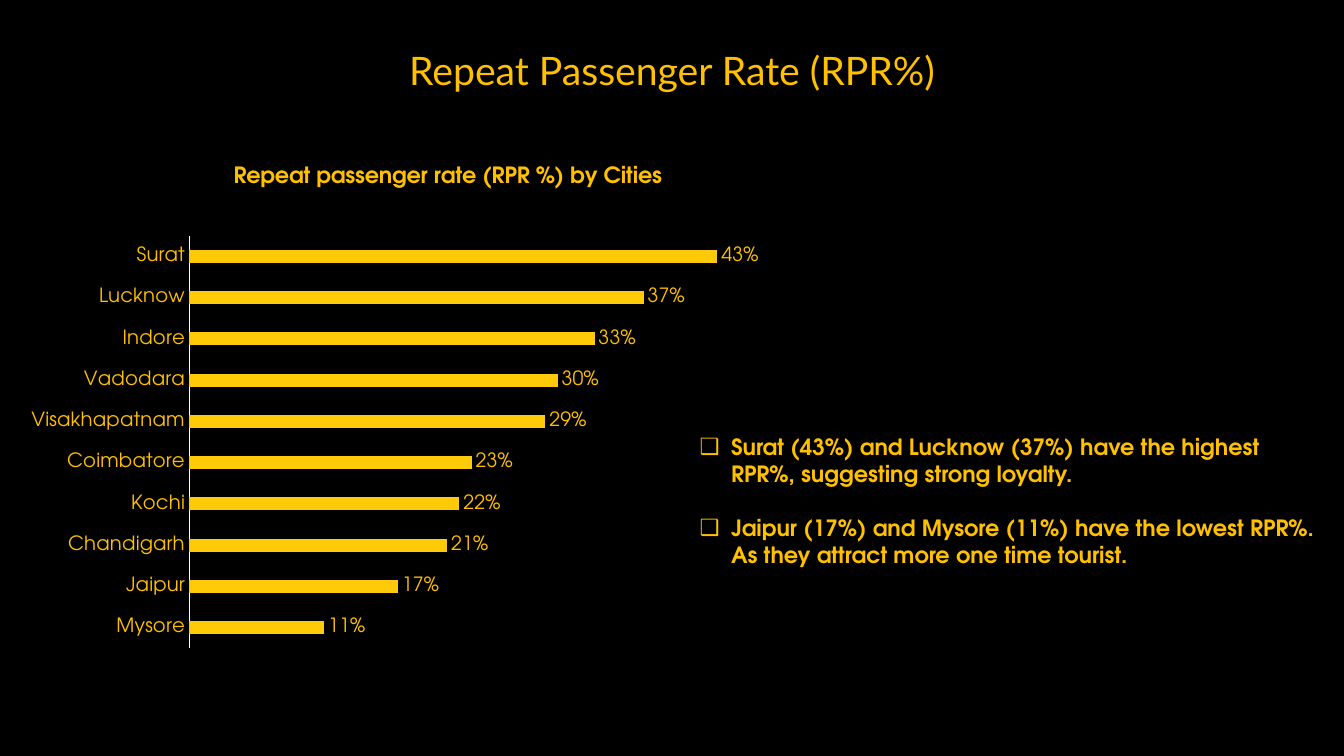
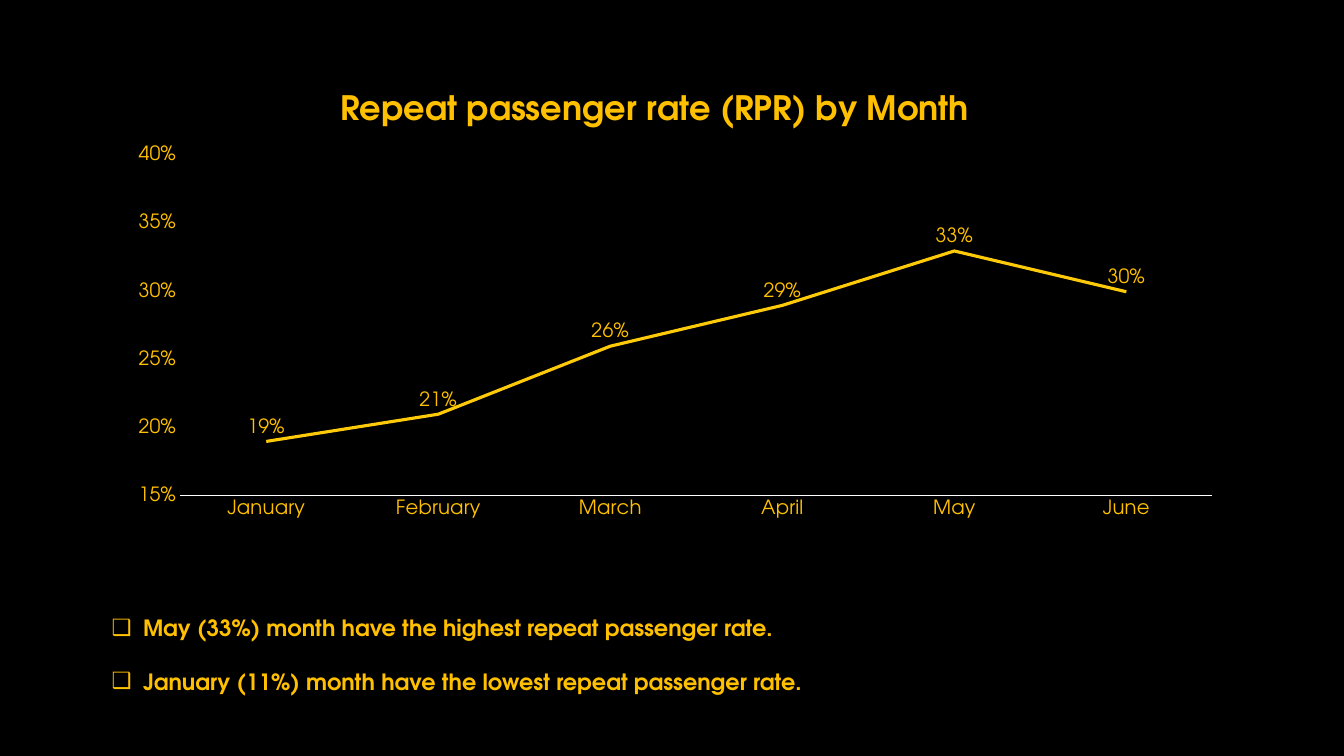
from dataclasses import dataclass

from lxml import etree
from pptx import Presentation
from pptx.chart.data import CategoryChartData
from pptx.dml.color import RGBColor
from pptx.enum.chart import (XL_CHART_TYPE as ChartType, XL_LABEL_POSITION as LabelPos,
                             XL_TICK_MARK as Tick)
from pptx.enum.text import MSO_ANCHOR as Anchor, MSO_AUTO_SIZE as AutoSize, PP_ALIGN as Align
from pptx.oxml.ns import qn
from pptx.util import Pt


@dataclass(frozen=True)
class Theme:
    """Colours, fonts and type sizes of the deck."""
    background: RGBColor = RGBColor(0x00, 0x00, 0x00)
    text: RGBColor = RGBColor(0xFF, 0xC0, 0x00)
    data: RGBColor = RGBColor(0xFF, 0xCA, 0x08)
    axis: RGBColor = RGBColor(0xFF, 0xFF, 0xFF)
    title_font: str = "Lato"
    body_font: str = "TeX Gyre Adventor"
    title_size: int = 28
    body_size: int = 16
    chart_size: int = 14


def apply(target, **values):
    """Set each format value on the target."""
    for name, value in values.items():
        setattr(target, name, value)


def set_layout(parent, index, **values):
    """Give a chart part a manual layout, as fractions of the chart."""
    for old in parent.findall(qn("c:layout")):
        parent.remove(old)
    layout = etree.Element(qn("c:layout"))
    manual = etree.SubElement(layout, qn("c:manualLayout"))
    for name, value in values.items():
        etree.SubElement(manual, qn(f"c:{name}")).set("val", str(value))
    parent.insert(index, layout)


class Deck:
    """Holds the style and the current slide."""

    BULLET_INDENT = Pt(22.5)
    FINDING_GAP = Pt(19.2)

    def __init__(self, theme):
        self.theme = theme
        self.prs = Presentation()
        apply(self.prs, slide_width=Pt(960), slide_height=Pt(540))
        fill = self.prs.slide_master.background.fill
        fill.solid()
        fill.fore_color.rgb = theme.background
        self.slide = None

    def new_slide(self):
        self.slide = self.prs.slides.add_slide(self.prs.slide_layouts[1])

    def font(self, font, size, name=None, bold=False):
        apply(font, name=name or self.theme.body_font, size=Pt(size), bold=bold)
        font.color.rgb = self.theme.text

    def place(self, placeholder, box, anchor):
        left, top, width, height = map(Pt, box)
        apply(placeholder, left=left, top=top, width=width, height=height)
        apply(placeholder.text_frame, word_wrap=True, auto_size=AutoSize.NONE,
              vertical_anchor=anchor)
        return placeholder.text_frame

    def title(self, text, box):
        paragraph = self.place(self.slide.shapes.title, box, Anchor.MIDDLE).paragraphs[0]
        paragraph.alignment = Align.CENTER
        run = paragraph.add_run()
        run.text = text
        self.font(run.font, self.theme.title_size, self.theme.title_font)

    def no_title(self):
        heading = self.slide.shapes.title.element
        heading.getparent().remove(heading)

    def findings(self, texts, box):
        frame = self.place(self.slide.placeholders[1], box, Anchor.TOP)
        for number, text in enumerate(texts):
            paragraph = frame.add_paragraph() if number else frame.paragraphs[0]
            properties = paragraph._p.get_or_add_pPr()
            properties.set("marL", str(self.BULLET_INDENT))
            properties.set("indent", str(-self.BULLET_INDENT))
            etree.SubElement(properties, qn("a:buChar")).set("char", "❑")
            apply(paragraph, alignment=Align.LEFT, line_spacing=1.0, space_after=Pt(0),
                  space_before=self.FINDING_GAP if number else Pt(0))
            run = paragraph.add_run()
            run.text = text
            self.font(run.font, self.theme.body_size, bold=True)

    def rate_chart(self, kind, rates, box, heading, heading_size, heading_at,
                   plot_area, scale, label_position):
        """Draw one series of percentages and return its chart."""
        data = CategoryChartData(number_format="0%")
        data.categories = list(rates)
        data.add_series("Series 1", [rate / 100 for rate in rates.values()])
        chart = self.slide.shapes.add_chart(kind, *map(Pt, box), data).chart
        chart.has_legend = False
        self.font(chart.font, self.theme.chart_size)

        # Heading and plot area
        chart.has_title = True
        title = chart.chart_title
        title.include_in_layout = False
        run = title.text_frame.paragraphs[0].add_run()
        run.text = heading
        self.font(run.font, heading_size, bold=True)
        x, y = heading_at
        set_layout(title._element, 1, xMode="edge", yMode="edge", x=x, y=y)
        x, y, w, h = plot_area
        set_layout(chart._chartSpace.chart.plotArea, 0, layoutTarget="inner",
                   xMode="edge", yMode="edge", x=x, y=y, w=w, h=h)

        # Axes
        for axis in (chart.category_axis, chart.value_axis):
            apply(axis, major_tick_mark=Tick.NONE, minor_tick_mark=Tick.NONE,
                  has_major_gridlines=False)
            self.font(axis.tick_labels.font, self.theme.chart_size)
        category_line = chart.category_axis.format.line
        category_line.color.rgb = self.theme.axis
        category_line.width = Pt(0.75)
        low, high, step = scale
        apply(chart.value_axis, minimum_scale=low, maximum_scale=high, major_unit=step)
        apply(chart.value_axis.tick_labels, number_format="0%", number_format_is_linked=False)
        chart.value_axis.format.line.fill.background()

        # Value labels
        plot = chart.plots[0]
        apply(plot, vary_by_categories=False, has_data_labels=True)
        apply(plot.data_labels, show_value=True, position=label_position,
              number_format="0%", number_format_is_linked=False)
        self.font(plot.data_labels.font, self.theme.chart_size)
        return chart

    def bar_chart(self, rates, **options):
        chart = self.rate_chart(ChartType.BAR_CLUSTERED, rates,
                                label_position=LabelPos.OUTSIDE_END, **options)
        chart.value_axis.visible = False
        plot = chart.plots[0]
        plot.gap_width = 219
        fill = plot.series[0].format.fill
        fill.solid()
        fill.fore_color.rgb = self.theme.data

    def line_chart(self, rates, **options):
        chart = self.rate_chart(ChartType.LINE, rates,
                                label_position=LabelPos.ABOVE, **options)
        series = chart.plots[0].series[0]
        series.smooth = False
        series.format.line.color.rgb = self.theme.data
        series.format.line.width = Pt(2.25)


CITY_RATES = {"Mysore": 11, "Jaipur": 17, "Chandigarh": 21, "Kochi": 22, "Coimbatore": 23,
              "Visakhapatnam": 29, "Vadodara": 30, "Indore": 33, "Lucknow": 37, "Surat": 43}
MONTH_RATES = {"January": 19, "February": 21, "March": 26, "April": 29, "May": 33, "June": 30}


def main():
    deck = Deck(Theme())

    # Rate by city
    deck.new_slide()
    deck.title("Repeat Passenger Rate (RPR%)", (96, 29.5, 768, 41))
    deck.bar_chart(CITY_RATES, box=(8, 114.5, 577.5, 359.5),
                   heading="Repeat passenger rate (RPR %) by Cities", heading_size=16,
                   heading_at=(0.27, 0), plot_area=(0.22, 0.15, 0.76, 0.82),
                   scale=(0, 0.5, 0.1))
    deck.findings(["Surat (43%) and Lucknow (37%) have the highest RPR%, "
                   "suggesting strong loyalty.",
                   "Jaipur (17%) and Mysore (11%) have the lowest RPR%. "
                   "As they attract more one time tourist."], (492.5, 306, 459.5, 104.5))

    # Rate by month
    deck.new_slide()
    deck.no_title()
    deck.line_chart(MONTH_RATES, box=(44, 50.5, 847.5, 337.5),
                    heading="Repeat passenger rate (RPR) by Month", heading_size=24,
                    heading_at=(0.23, 0.03), plot_area=(0.1, 0.18, 0.87, 0.72),
                    scale=(0.15, 0.4, 0.05))
    deck.findings(["May (33%) month have the highest repeat passenger rate.",
                   "January (11%) month have the lowest repeat passenger rate."],
                  (72.5, 435, 790, 65.5))

    deck.prs.save("out.pptx")


if __name__ == "__main__":
    main()
